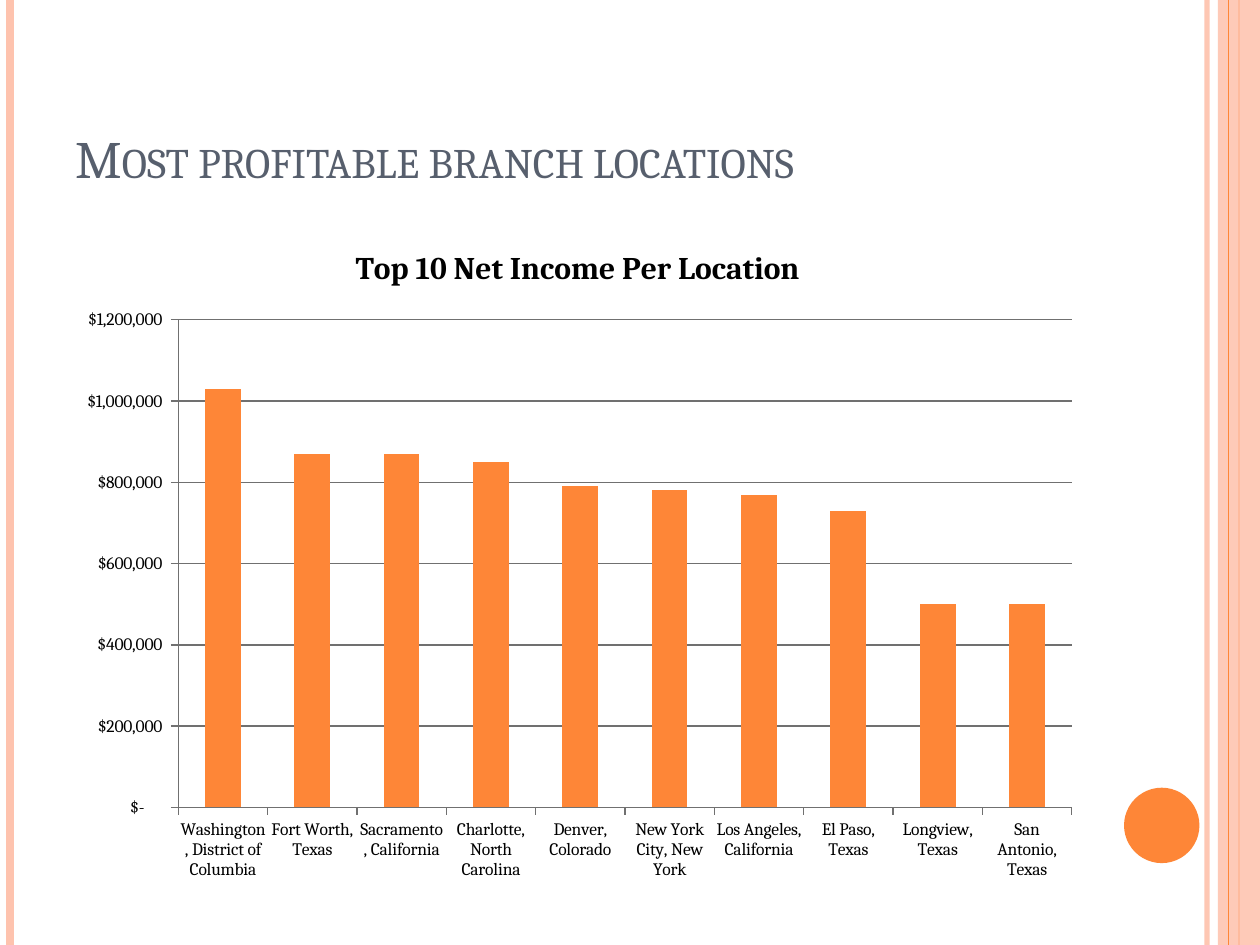
"""Build the slide on the most profitable branch locations."""
from lxml import etree
from pptx import Presentation
from pptx import util as u
from pptx.chart.data import CategoryChartData
from pptx.dml.color import RGBColor
from pptx.enum import chart as charts, shapes, text
from pptx.oxml import ns

ORANGE = RGBColor(0xFE, 0x86, 0x37)
PEACH = RGBColor(0xFE, 0xC3, 0xAE)
SLATE = RGBColor(0x57, 0x5F, 0x6D)
GREY = RGBColor(0x70, 0x70, 0x70)
BLACK = RGBColor(0, 0, 0)
FONT = "Cambria"
WIDTH, HEIGHT = 25.4, 19.05
DOLLARS = '_("$"* #,##0_);_("$"* \\(#,##0\\);_("$"* "-"??_);_(@_)'
INCOME = {
    "Washington, District of Columbia": 1030000,
    "Fort Worth, Texas": 870000,
    "Sacramento, California": 870000,
    "Charlotte, North Carolina": 850000,
    "Denver, Colorado": 790000,
    "New York City, New York": 780000,
    "Los Angeles, California": 770000,
    "El Paso, Texas": 730000,
    "Longview, Texas": 500000,
    "San Antonio, Texas": 500000,
}


def apply(target, formats):
    """Set each attribute named in formats on the target."""
    for name, value in formats.items():
        setattr(target, name, value)


def style_font(font, size, color, bold=False):
    """Give a font the slide's typeface, a size and a colour."""
    apply(font, {"name": FONT, "size": u.Pt(size), "bold": bold})
    font.color.rgb = color


def set_opacity(element, percent):
    """Make the first solid colour of an element translucent."""
    color = next(element.iter(ns.qn("a:srgbClr")))
    etree.SubElement(color, ns.qn("a:alpha"), val=str(percent * 1000))


def add_stripe(slide, x, color, weight, opacity=100):
    """Draw a vertical line over the full slide height."""
    stripe = slide.shapes.add_connector(
        shapes.MSO_CONNECTOR.STRAIGHT, u.Cm(x), 0, u.Cm(x), u.Cm(HEIGHT))
    stripe.line.color.rgb = color
    stripe.line.width = u.Pt(weight)
    properties = stripe._element.spPr
    etree.SubElement(properties, ns.qn("a:effectLst"))
    if opacity < 100:
        set_opacity(properties, opacity)


def add_solid(slide, kind, box, color, opacity=100):
    """Draw a filled shape without outline or shadow."""
    solid = slide.shapes.add_shape(kind, *map(u.Cm, box))
    solid.shadow.inherit = False
    solid.fill.solid()
    solid.fill.fore_color.rgb = color
    solid.line.fill.background()
    if opacity < 100:
        set_opacity(solid._element.spPr, opacity)


def add_heading(slide, wording, box):
    """Place the small-caps heading at the bottom of its box."""
    frame = slide.shapes.add_textbox(*map(u.Cm, box)).text_frame
    apply(frame, {"word_wrap": True,
                  "vertical_anchor": text.MSO_ANCHOR.BOTTOM})
    heading = frame.paragraphs[0].add_run()
    heading.text = wording
    style_font(heading.font, 30, SLATE)
    heading._r.get_or_add_rPr().set("cap", "small")


def add_income_chart(slide, title, income, box):
    """Chart the net income of each location as columns."""
    data = CategoryChartData()
    data.categories = list(income)
    data.add_series("Series 1", list(income.values()))
    chart = slide.shapes.add_chart(
        charts.XL_CHART_TYPE.COLUMN_CLUSTERED, *map(u.Cm, box), data).chart
    apply(chart, {"has_legend": False, "has_title": True})
    style_font(chart.font, 10, BLACK)
    caption = chart.chart_title.text_frame
    caption.text = title
    style_font(caption.paragraphs[0].runs[0].font, 18, BLACK, bold=True)

    columns = chart.plots[0]
    apply(columns, {"gap_width": 150, "vary_by_categories": False})
    fill = columns.series[0].format.fill
    fill.solid()
    fill.fore_color.rgb = ORANGE

    locations, dollars = chart.category_axis, chart.value_axis
    apply(dollars, {"minimum_scale": 0, "maximum_scale": 1200000,
                    "major_unit": 200000, "has_major_gridlines": True})
    apply(dollars.tick_labels, {"number_format": DOLLARS,
                                "number_format_is_linked": False})
    for axis in (locations, dollars):
        axis.major_tick_mark = charts.XL_TICK_MARK.OUTSIDE
    for part in (locations, dollars, dollars.major_gridlines):
        part.format.line.color.rgb = GREY
        part.format.line.width = u.Pt(0.75)


def main():
    """Assemble and save the slide."""
    deck = Presentation()
    apply(deck, {"slide_width": u.Cm(WIDTH), "slide_height": u.Cm(HEIGHT)})
    slide = deck.slides.add_slide(deck.slide_layouts[6])
    add_stripe(slide, 24.33, PEACH, 3, 93)
    add_stripe(slide, 0.21, PEACH, 4.5)
    add_stripe(slide, 24.98, ORANGE, 1.5)
    add_solid(slide, shapes.MSO_SHAPE.RECTANGLE,
              (24.55, 0, 0.85, HEIGHT), PEACH, 87)
    add_stripe(slide, 24.77, ORANGE, 0.75)
    add_solid(slide, shapes.MSO_SHAPE.OVAL, (22.66, 15.88, 1.52, 1.52), ORANGE)
    add_heading(slide, "Most profitable branch locations",
                (1.27, 0.76, 20.75, 3.18))
    add_income_chart(slide, "Top 10 Net Income Per Location", INCOME,
                     (1.27, 4.45, 20.75, 13.54))
    deck.save("out.pptx")


main()
